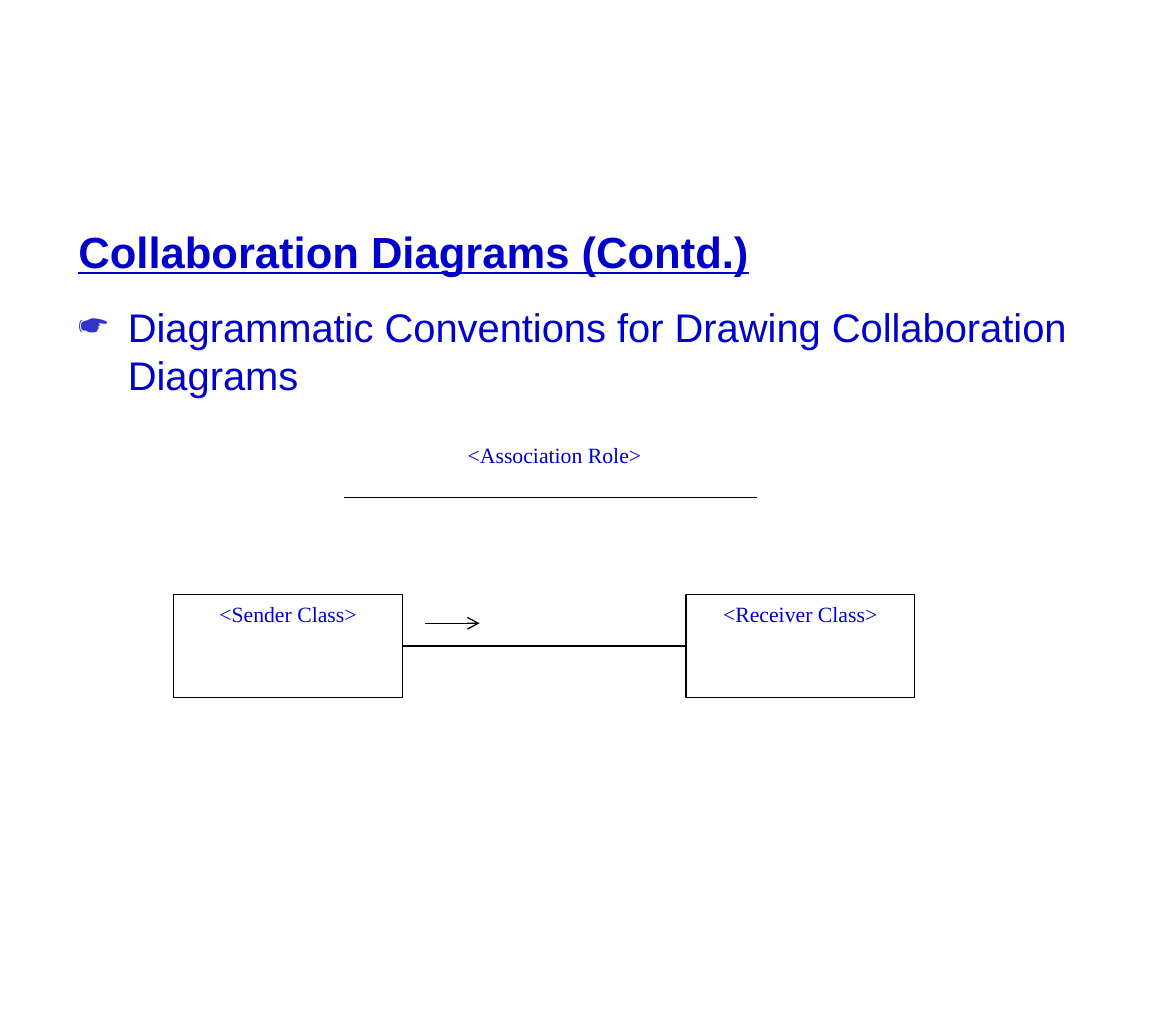
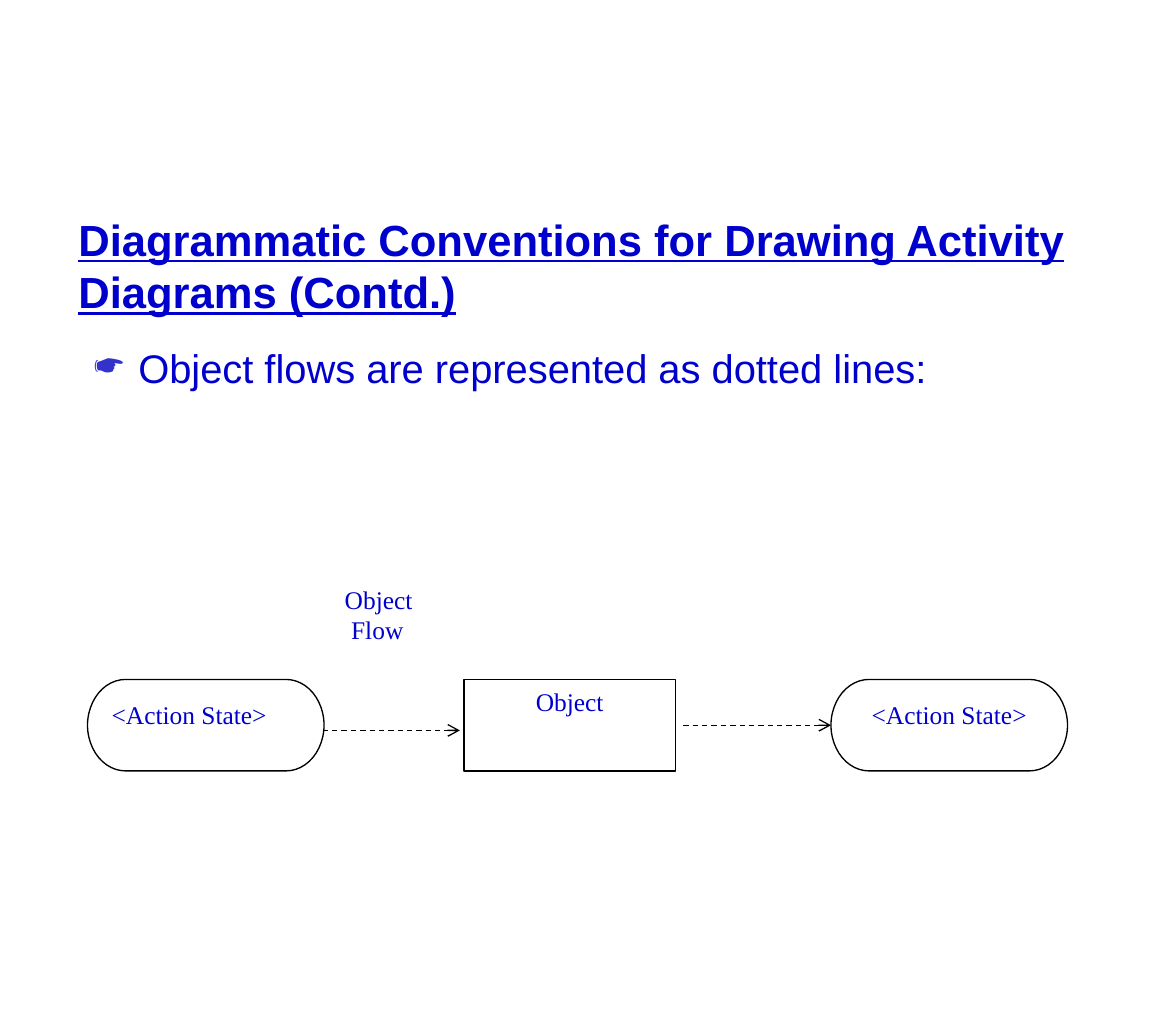
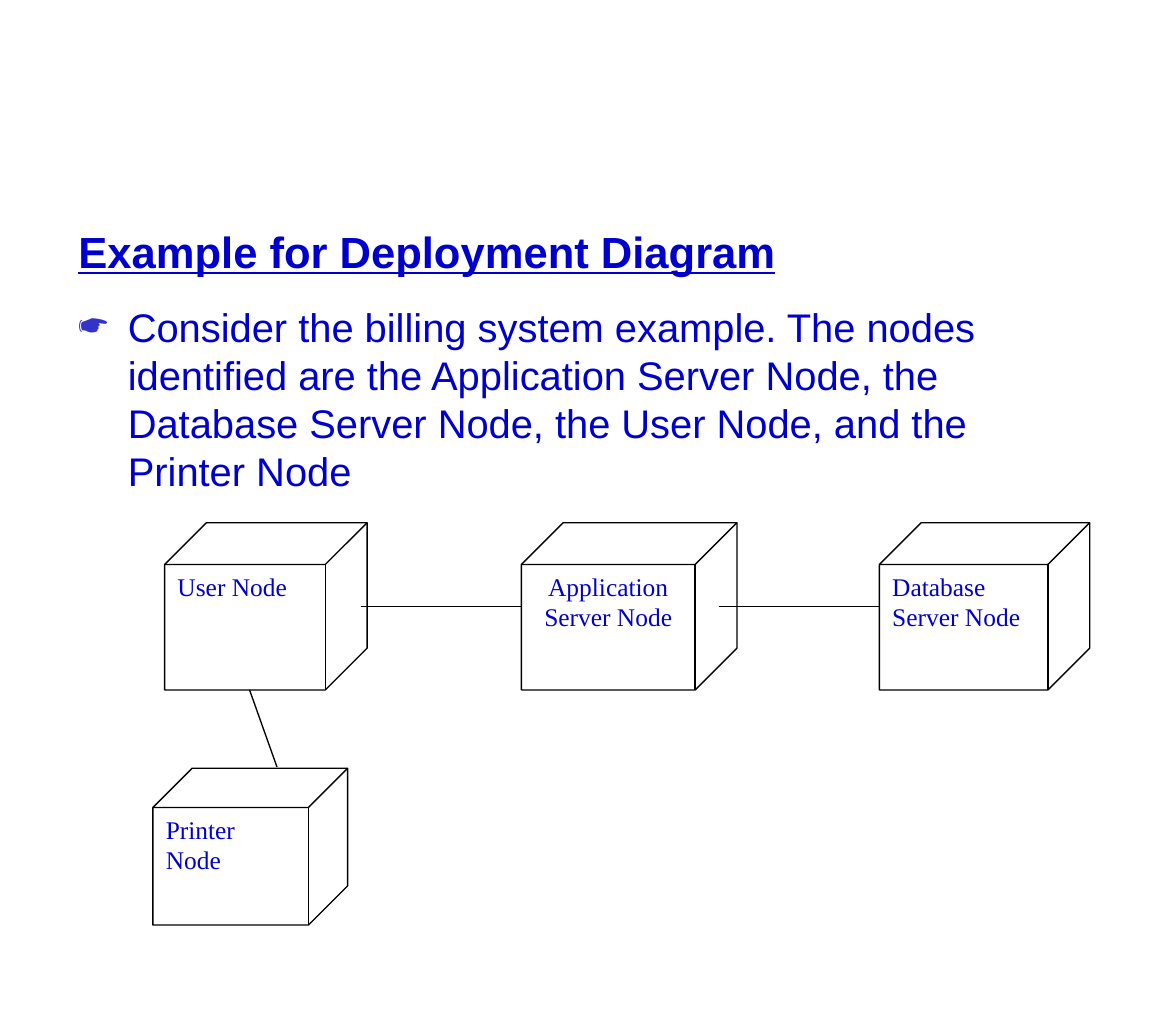
"""Build three slides on UML diagram conventions."""
import lxml.etree
import pptx
import pptx.dml.color
import pptx.enum.dml
import pptx.enum.shapes
import pptx.enum.text
import pptx.oxml.ns
import pptx.util

Inches = pptx.util.Inches
Shapes = pptx.enum.shapes.MSO_SHAPE
Align = pptx.enum.text.PP_ALIGN

COLORS = {"text": "0000CC", "bullet": "3333CC", "line": "000000", "paper": "FFFFFF"}
HEADING_FONT, LABEL_FONT = "Arial", "Times New Roman"
TITLE_SIZE, BODY_SIZE = 24, 22
LEADING = 1.2
LEFT, WIDTH = 0.5, 7.95
TITLE_LINE, TITLE_GAP = 0.4, 0.2
CUBE_HEIGHT = 1.28
STATE = {"kind": Shapes.FLOWCHART_TERMINATOR, "fill": "paper"}
CLASS = {"kind": Shapes.RECTANGLE, "fill": "paper", "align": Align.CENTER}
CUBE = {"kind": Shapes.CUBE}

SLIDES = [
    {
        "title": "Collaboration Diagrams (Contd.)",
        "top": 1.67, "title_lines": 1, "indent": (0.38, -0.38),
        "body": "Diagrammatic Conventions for Drawing Collaboration Diagrams",
        "nodes": {
            "role": ("<Association Role>", (2.58, 3.33, 3.33, 0.59),
                     {**CLASS, "line": None, "size": 12}),
            "sender": ("<Sender Class>", (1.33, 4.55, 1.75, 0.79), {**CLASS, "size": 12}),
            "receiver": ("<Receiver Class>", (5.25, 4.55, 1.75, 0.79), {**CLASS, "size": 12}),
        },
        "links": [
            ((2.63, 3.81), (5.79, 3.81), {}),
            ((3.08, 4.94), (5.25, 4.94), {"begin": ("sender", 3), "end": ("receiver", 1)}),
            ((3.25, 4.77), (3.67, 4.77), {"arrow": True}),
        ],
    },
    {
        "title": "Diagrammatic Conventions for Drawing Activity Diagrams (Contd.)",
        "top": 1.58, "title_lines": 2, "indent": (0.46, -0.34),
        "body": "Object flows are represented as dotted lines:",
        "nodes": {
            "first state": ("<Action State>", (0.67, 5.2, 1.81, 0.7), STATE),
            "last state": ("<Action State>", (6.36, 5.2, 1.81, 0.7),
                           {**STATE, "align": Align.CENTER}),
            "object": ("Object", (3.55, 5.2, 1.62, 0.7), CLASS),
            "flow label": ("Object\n Flow", (2.54, 4.42, 0.94, 0.98),
                           {**CLASS, "line": "paper", "align": Align.LEFT}),
        },
        "links": [
            ((2.47, 5.59), (3.52, 5.59), {"arrow": True, "dashed": True}),
            ((5.23, 5.55), (6.36, 5.55),
             {"arrow": True, "dashed": True, "end": ("last state", 1)}),
        ],
    },
    {
        "title": "Example for Deployment Diagram",
        "top": 1.67, "title_lines": 1, "indent": (0.38, -0.38),
        "body": "Consider the billing system example. The nodes identified are the "
                "Application Server Node, the Database Server Node, the User Node, "
                "and the Printer Node",
        "nodes": {
            "application": ("Application Server Node", (3.99, 4, 1.65, CUBE_HEIGHT),
                            {**CUBE, "align": Align.CENTER}),
            "database": ("Database Server Node", (6.73, 4, 1.61, CUBE_HEIGHT), CUBE),
            "user": ("User Node", (1.26, 4, 1.55, CUBE_HEIGHT), CUBE),
            "printer": ("Printer Node", (1.17, 5.88, 1.49, 1.2), CUBE),
        },
        "links": [
            ((5.5, 4.64), (6.73, 4.64), {}),
            ((2.76, 4.64), (3.99, 4.64), {}),
            ((1.91, 5.28), (2.12, 5.87), {}),
        ],
    },
]


def rgb(name):
    return pptx.dml.color.RGBColor.from_string(COLORS[name])


def add_element(parent, tag, **attributes):
    return lxml.etree.SubElement(parent, pptx.oxml.ns.qn(tag), attributes)


def write_text(shape, text, size=14, font=LABEL_FONT, align=Align.LEFT,
               bold=False, underline=False):
    frame = shape.text_frame
    frame.word_wrap = True
    frame.auto_size = pptx.enum.text.MSO_AUTO_SIZE.NONE
    frame.vertical_anchor = pptx.enum.text.MSO_ANCHOR.TOP
    frame.text = text
    for paragraph in frame.paragraphs:
        paragraph.alignment = align
        paragraph.line_spacing = pptx.util.Pt(size * LEADING)
        for run in paragraph.runs:
            run.font.name = font
            run.font.size = pptx.util.Pt(size)
            run.font.bold = bold
            run.font.underline = underline
            run.font.color.rgb = rgb("text")


def add_bullet(paragraph, margin, hanging):
    properties = paragraph._p.get_or_add_pPr()
    properties.set("marL", str(Inches(margin)))
    properties.set("indent", str(Inches(hanging)))
    color = add_element(properties, "a:buClr")
    add_element(color, "a:srgbClr", val=COLORS["bullet"])
    add_element(properties, "a:buChar", char="☛")


def add_heading(slide, content):
    title = slide.shapes.title
    title_height = content["title_lines"] * TITLE_LINE + TITLE_GAP
    title.left, title.top = Inches(LEFT), Inches(content["top"])
    title.width, title.height = Inches(WIDTH), Inches(title_height)
    write_text(title, content["title"], size=TITLE_SIZE, font=HEADING_FONT,
               bold=True, underline=True)
    body = slide.shapes.add_textbox(Inches(LEFT), Inches(content["top"] + title_height),
                                    Inches(WIDTH), Inches(1.6))
    write_text(body, content["body"], size=BODY_SIZE, font=HEADING_FONT)
    add_bullet(body.text_frame.paragraphs[0], *content["indent"])


def add_node(slide, text, box, kind, fill=None, line="line", **text_format):
    shape = slide.shapes.add_shape(kind, *map(Inches, box))
    shape.shadow.inherit = False
    if fill:
        shape.fill.solid()
        shape.fill.fore_color.rgb = rgb(fill)
    else:
        shape.fill.background()
    if line:
        shape.line.color.rgb = rgb(line)
        shape.line.width = pptx.util.Pt(0.75)
    else:
        shape.line.fill.background()
    write_text(shape, text, **text_format)
    return shape


def add_link(slide, nodes, start, finish, begin=None, end=None, arrow=False, dashed=False):
    connector = slide.shapes.add_connector(
        pptx.enum.shapes.MSO_CONNECTOR.STRAIGHT, *map(Inches, start + finish))
    connector.line.color.rgb = rgb("line")
    connector.line.width = pptx.util.Pt(0.75)
    if dashed:
        connector.line.dash_style = pptx.enum.dml.MSO_LINE.DASH
    if arrow:
        add_element(connector.line._get_or_add_ln(), "a:tailEnd", type="arrow")
    add_element(connector._element.spPr, "a:effectLst")
    if begin:
        connector.begin_connect(nodes[begin[0]], begin[1])
    if end:
        connector.end_connect(nodes[end[0]], end[1])


def main():
    presentation = pptx.Presentation()
    presentation.slide_width, presentation.slide_height = Inches(9), Inches(7.89)
    for content in SLIDES:
        slide = presentation.slides.add_slide(presentation.slide_layouts[5])
        slide.background.fill.solid()
        slide.background.fill.fore_color.rgb = rgb("paper")
        add_heading(slide, content)
        nodes = {name: add_node(slide, text, box, **style)
                 for name, (text, box, style) in content["nodes"].items()}
        for start, finish, style in content["links"]:
            add_link(slide, nodes, start, finish, **style)
    presentation.save("out.pptx")


if __name__ == "__main__":
    main()
